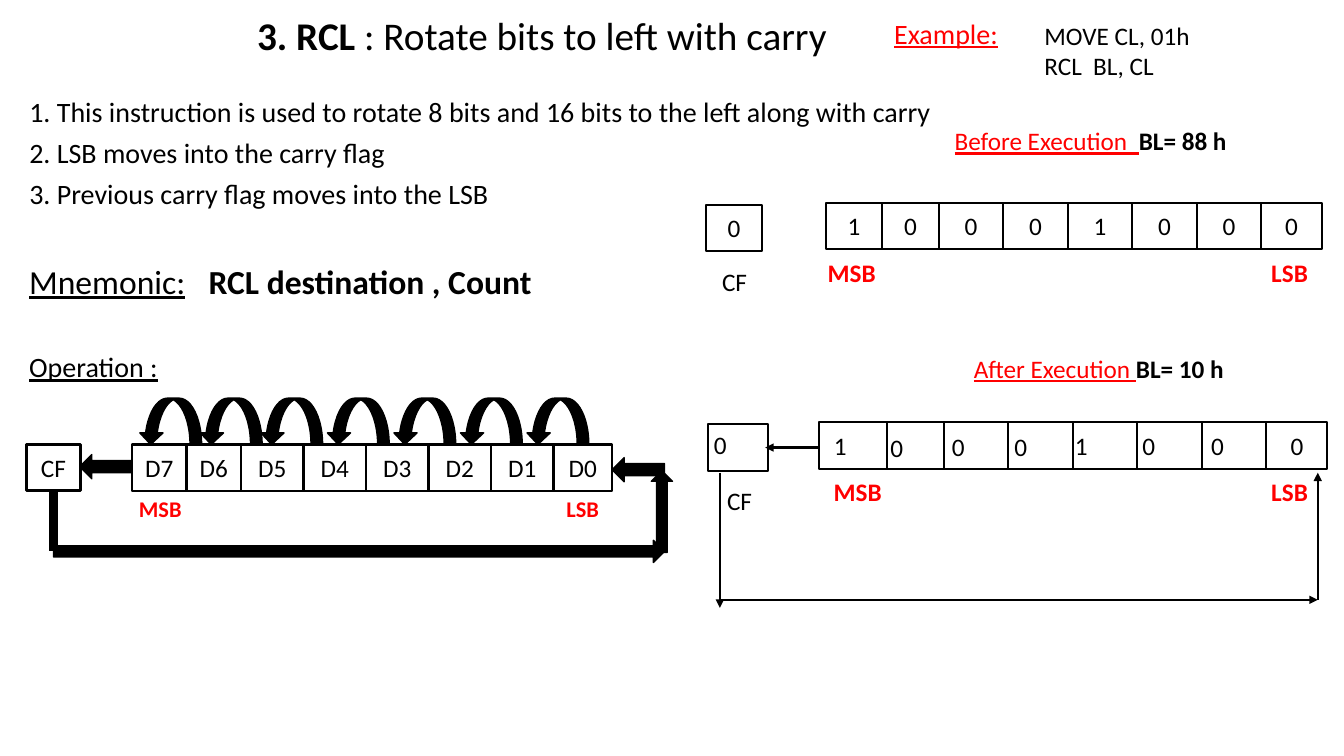
from dataclasses import dataclass

from lxml import etree
from pptx import Presentation
from pptx.dml.color import RGBColor
from pptx.enum import shapes, text
from pptx.oxml import ns
from pptx.util import Inches, Pt


@dataclass(frozen=True)
class Theme:
    face: str = "Calibri"
    ink: str = "000000"
    hot: str = "FF0000"
    head: int = 28
    big: int = 24
    body: int = 20
    base: int = 18
    small: int = 16
    hair: float = 1
    thin: float = 1.5
    firm: float = 2.25
    thick: float = 6


T = Theme()
KIND = shapes.MSO_SHAPE
LEFT, MID = text.PP_ALIGN.LEFT, text.PP_ALIGN.CENTER
TOP, HALF = text.MSO_ANCHOR.TOP, text.MSO_ANCHOR.MIDDLE
HIGH = 0.46


def place(box):
    return [Inches(n) for n in box]


def write(frame, lines, size=T.base, color=T.ink, align=LEFT, anchor=TOP, wrap=True, **gaps):
    frame.auto_size = text.MSO_AUTO_SIZE.NONE
    frame.word_wrap = wrap
    frame.vertical_anchor = anchor
    for i, runs in enumerate(lines):
        para = frame.paragraphs[0] if i == 0 else frame.add_paragraph()
        para.alignment = align
        for key, val in gaps.items():
            setattr(para, key, val)
        for words, look in runs:
            run = para.add_run()
            run.text = words
            form = {"name": T.face, "size": Pt(size), "bold": False, **look}
            tint = form.pop("color", color)
            for key, val in form.items():
                setattr(run.font, key, val)
            run.font.color.rgb = RGBColor.from_string(tint)


def note(slide, box, lines, **form):
    item = slide.shapes.add_textbox(*place(box))
    write(item.text_frame, lines, **form)


def tag(slide, left, top, words, size=T.base):
    note(slide, (left, top, 0.69, 0.39), [[(words, {"bold": True})]], size=size, color=T.hot)


def mark(slide, left, top, words, wide=0.33):
    note(slide, (left, top, wide, 0.4), [[(words, {})]], align=MID, wrap=False)


def block(slide, kind, box, width, fill=None):
    item = slide.shapes.add_shape(kind, *place(box))
    item.shadow.inherit = False
    if fill:
        item.fill.solid()
        item.fill.fore_color.rgb = RGBColor.from_string(fill)
    else:
        item.fill.background()
    item.line.color.rgb = RGBColor.from_string(T.ink)
    item.line.width = Pt(width)
    return item


def cell(slide, box, words="", width=T.thin):
    item = block(slide, KIND.RECTANGLE, box, width)
    if words:
        write(item.text_frame, [[(words, {})]], align=MID, anchor=HALF, wrap=False)


def row(slide, left, top, widths, names):
    for wide, name in zip(widths, names):
        cell(slide, (left, top, wide, HIGH), name)
        left += wide


def arrow(slide, kind, box, turn=0, flip=False):
    item = block(slide, kind, box, T.hair, T.ink)
    item.rotation = turn
    if flip:
        item._element.spPr.xfrm.set("flipH", "1")


def link(slide, start, end, width=T.thin, tip=True):
    line = slide.shapes.add_connector(shapes.MSO_CONNECTOR.STRAIGHT, *place(start + end))
    line.line.color.rgb = RGBColor.from_string(T.ink)
    line.line.width = Pt(width)
    if tip:
        etree.SubElement(line.line._get_or_add_ln(), ns.qn("a:tailEnd"), type="triangle")
    etree.SubElement(line._element.spPr, ns.qn("a:effectLst"))


def intro(slide):
    title, body = slide.placeholders
    for item, box in ((title, (2.45, 0.06, 6.22, 0.57)), (body, (0.19, 0.95, 12.53, 1.22))):
        item.left, item.top, item.width, item.height = place(box)
    write(title.text_frame, [[("3. RCL", {"bold": True}), (" : Rotate bits to left with carry", {})]],
          size=T.head)
    steps = (
        "1. This instruction is used to rotate 8 bits and 16 bits to the left along with carry",
        "2. LSB moves into the carry flag",
        "3. Previous carry flag moves into the LSB",
    )
    write(body.text_frame, [[(step, {})] for step in steps], size=T.body,
          line_spacing=0.8, space_before=Pt(10))
    for para in body.text_frame.paragraphs:
        props = para._p.get_or_add_pPr()
        props.set("marL", "0")
        props.set("indent", "0")
        etree.SubElement(props, ns.qn("a:buNone"))

    under = {"underline": True}
    note(slide, (0.19, 2.46, 1.85, 0.7), [[("Mnemonic:", under)]],
         size=T.big, anchor=HALF, line_spacing=0.9)
    note(slide, (1.97, 2.46, 4, 0.7), [[("RCL destination , Count", {"bold": True})]],
         size=T.big, anchor=HALF, line_spacing=0.9)
    note(slide, (0.19, 3.46, 1.85, 0.42), [[("Operation :", under)]], size=T.body, line_spacing=0.9)
    note(slide, (8.77, 0.15, 1.4, 0.43), [[("Example:", under)]],
         size=T.body, color=T.hot, line_spacing=0.9)
    note(slide, (10.26, 0.15, 1.92, 0.71), [[("MOVE CL, 01h", {})], [("RCL  BL, CL", {})]])
    for left, top, phase, value in ((9.37, 1.23, "Before Execution  ", "BL= 88 h"),
                                    (9.56, 3.49, "After Execution ", "BL= 10 h")):
        runs = [(phase, {"underline": True, "color": T.hot}), (value, {"bold": True})]
        note(slide, (left, top, 3.04, 0.6), [runs], line_spacing=0.9)


def scheme(slide):
    top = 4.41
    row(slide, 1.31, top, [0.54, 0.54] + [0.62] * 5 + [0.58], [f"D{n}" for n in range(7, -1, -1)])
    cell(slide, (0.26, top, 0.54, HIGH), "CF", T.firm)
    for left in [1.38, 1.98] + [2.58 + 0.66 * i for i in range(5)]:
        arrow(slide, KIND.CURVED_DOWN_ARROW, (left, top - HIGH, 0.62, HIGH), flip=True)
    for box, turn in (((0.79, 4.51, 0.52, 0.24), 0), ((0.53, 5.36, 6.06, 0.22), 180),
                      ((6.16, 4.97, 0.81, 0.21), 90), ((6.07, 4.54, 0.52, 0.24), 0)):
        arrow(slide, KIND.LEFT_ARROW, box, turn)
    tag(slide, 5.52, 4.86, "LSB", T.small)
    tag(slide, 1.28, 4.86, "MSB", T.small)
    link(slide, (0.53, 4.86), (0.53, 5.47), T.thick, False)


def before(slide):
    row(slide, 8.19, 2.01, [0.56] * 2 + [0.64] * 5 + [0.6], "10001000")
    cell(slide, (7, 2.03, 0.56, HIGH), "0")
    mark(slide, 7.06, 2.59, "CF", 0.45)
    tag(slide, 12.51, 2.5, "LSB")
    tag(slide, 8.11, 2.5, "MSB")


def after(slide):
    row(slide, 8.12, 4.19, [0.68, 0.56] + [0.64] * 5 + [0.6], [""] * 8)
    cell(slide, (7.02, 4.21, 0.6, HIGH))
    spots = (6.98, 8.17, 8.73, 9.34, 9.96, 10.56, 11.23, 11.91, 12.7)
    drops = (4.21, 4.22, 4.24, 4.23, 4.23, 4.22, 4.22, 4.22, 4.22)
    for left, top, bit in zip(spots, drops, "010001000"):
        mark(slide, left, top, bit)
    mark(slide, 7.11, 4.77, "CF", 0.45)
    tag(slide, 12.51, 4.68, "LSB")
    tag(slide, 8.17, 4.68, "MSB")
    for start, end in (((7.14, 4.69), (7.14, 6.03)), ((7.14, 5.95), (13.07, 5.95)),
                       ((13.07, 5.95), (13.07, 4.69)), ((8.12, 4.44), (7.59, 4.44))):
        link(slide, start, end)


def main():
    deck = Presentation()
    deck.slide_width, deck.slide_height = Inches(13.33), Inches(7.5)
    slide = deck.slides.add_slide(deck.slide_layouts[1])
    for draw in (intro, scheme, before, after):
        draw(slide)
    deck.save("out.pptx")


main()
